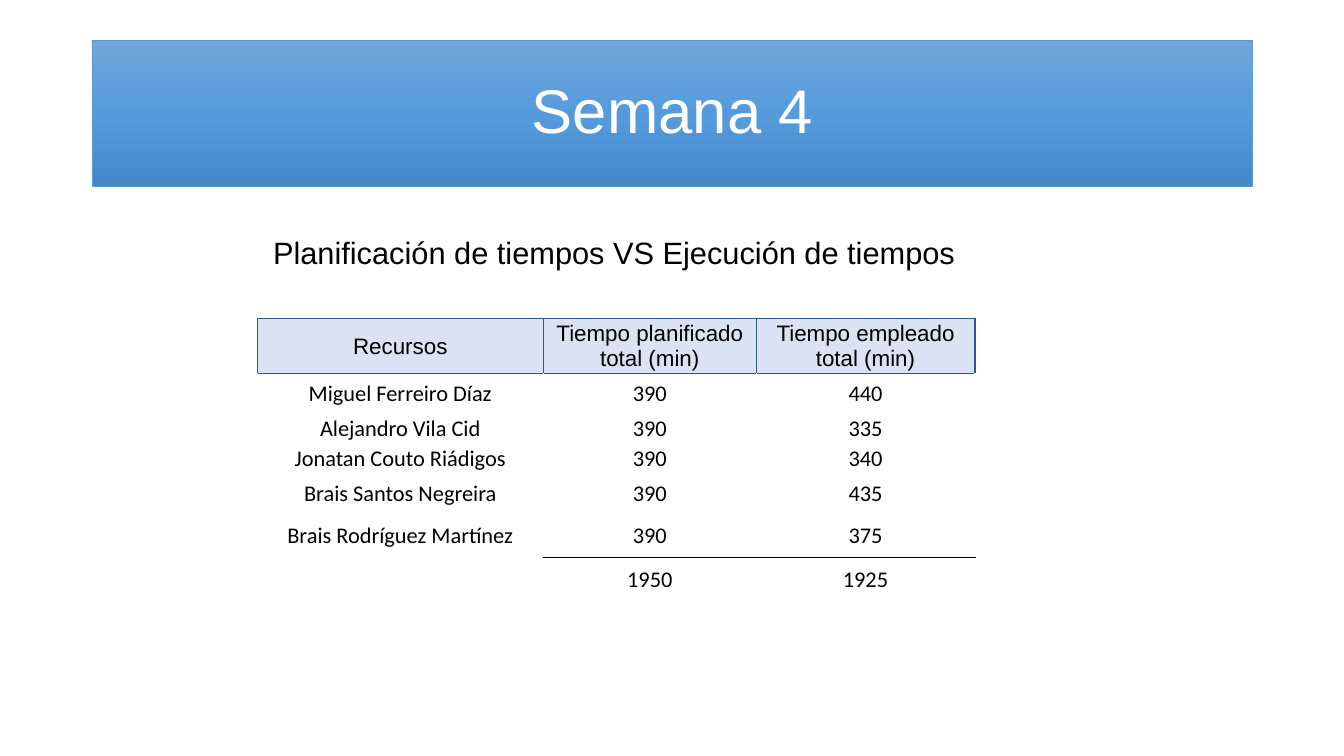
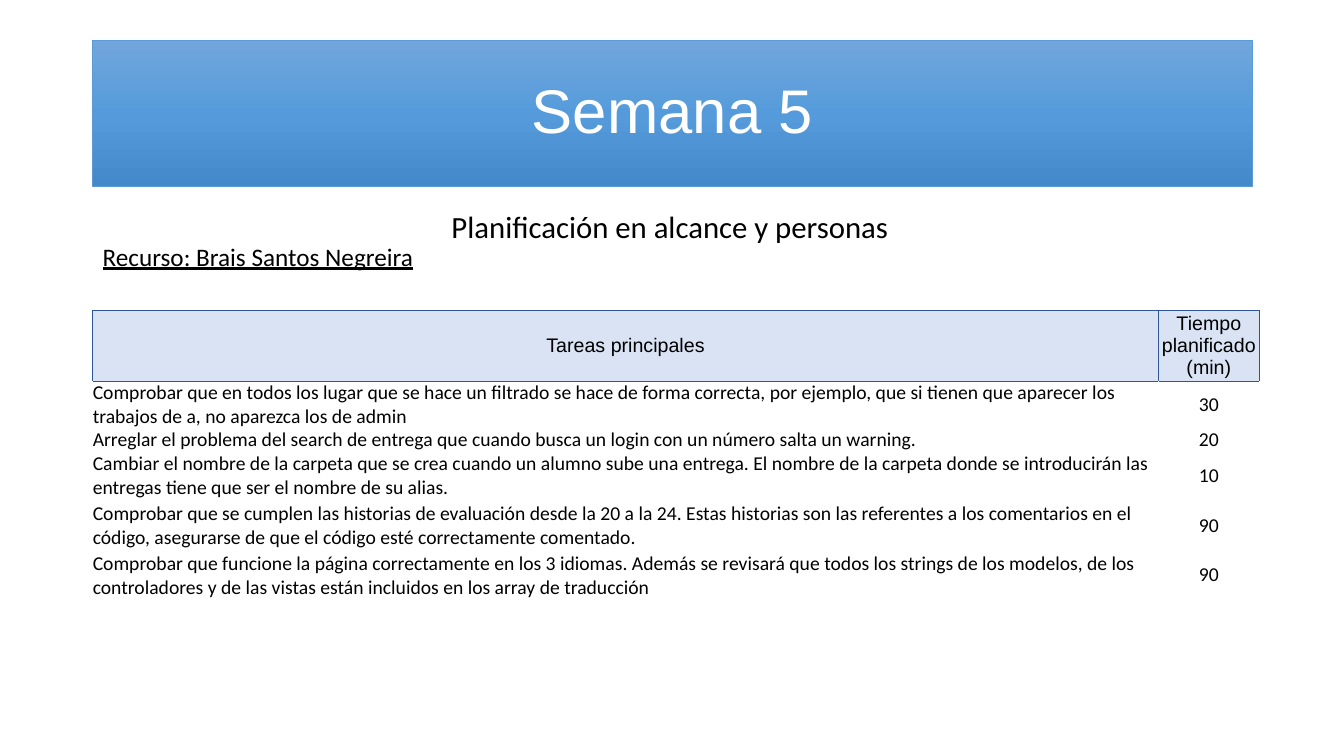
import copy
import pptx
import pptx.util
import pptx.dml.color
import pptx.enum.shapes
import pptx.enum.text
import pptx.oxml
import pptx.oxml.ns

Inches, Pt = pptx.util.Inches, pptx.util.Pt
ALIGN = pptx.enum.text.PP_ALIGN
ANCHOR = pptx.enum.text.MSO_ANCHOR

# Shared look
BLACK, WHITE = "000000", "FFFFFF"
BAND_STOPS = ((0, "71A6DB"), (0.5, "559BDB"), (1, "448ACA"))
BAND_EDGE = "5B9BD5"
HEADER_FILL = "DAE3F3"
HEADER_EDGE = ("2F5597", 1)
TOTAL_EDGE = (BLACK, 0.5)
HEADING_FONT, BODY_FONT = "Arial", "Calibri"


def rgb(value):
    return pptx.dml.color.RGBColor.from_string(value)


def write(frame, text, size=18, font=BODY_FONT, color=BLACK, align=ALIGN.LEFT,
          underline=False, spacing=1.0):
    paragraph = frame.paragraphs[0]
    paragraph.alignment = align
    paragraph.line_spacing = spacing
    run = paragraph.add_run()
    run.text = text
    run.font.size = Pt(size)
    run.font.name = font
    run.font.color.rgb = rgb(color)
    if underline:
        run.font.underline = True


def add_title_band(slide, title):
    band = slide.shapes.add_shape(pptx.enum.shapes.MSO_SHAPE.RECTANGLE,
                                  Inches(0.92), Inches(0.4), Inches(11.5), Inches(1.45))
    band.shadow.inherit = False
    band.line.color.rgb = rgb(BAND_EDGE)
    band.line.width = Pt(0.5)
    # Vertical gradient with a third stop
    band.fill.gradient()
    band.fill.gradient_angle = 270
    stop_list = next(band._element.spPr.iter(pptx.oxml.ns.qn("a:gsLst")))
    stop_list.append(copy.deepcopy(stop_list[0]))
    for stop, (position, color) in zip(band.fill.gradient_stops, BAND_STOPS):
        stop.position = position
        stop.color.rgb = rgb(color)
    band.text_frame.word_wrap = True
    band.text_frame.vertical_anchor = ANCHOR.MIDDLE
    write(band.text_frame, title, size=44, font=HEADING_FONT, color=WHITE,
          align=ALIGN.CENTER, spacing=0.9)


def add_text(slide, text, left, top, width, height, **style):
    box = slide.shapes.add_textbox(Inches(left), Inches(top), Inches(width), Inches(height))
    box.text_frame.word_wrap = True
    write(box.text_frame, text, **style)


def set_borders(cell, sides, edge):
    color, width = edge
    properties = cell._tc.get_or_add_tcPr()
    for side in sides:
        properties.append(pptx.oxml.parse_xml(
            f'<a:ln{side} {pptx.oxml.ns.nsdecls("a")} w="{Pt(width)}"><a:solidFill>'
            f'<a:srgbClr val="{color}"/></a:solidFill></a:ln{side}>'))


def add_table(slide, rows, left, top, widths, heights, size, margin=0.0,
              first_align=ALIGN.CENTER, top_anchored=(), total_row=None):
    table = slide.shapes.add_table(len(rows), len(widths), Inches(left), Inches(top),
                                   Inches(sum(widths)), Inches(sum(heights))).table
    table.first_row = table.horz_banding = False
    for column, width in zip(table.columns, widths):
        column.width = Inches(width)
    for r, (values, height) in enumerate(zip(rows, heights)):
        table.rows[r].height = Inches(height)
        for c, value in enumerate(values):
            cell = table.cell(r, c)
            header = r == 0
            # Borders come before the fill in the cell properties
            if header:
                set_borders(cell, "LRTB", HEADER_EDGE)
            elif r == 1:
                set_borders(cell, "T", HEADER_EDGE)
            elif total_row and c and r in (total_row - 1, total_row):
                set_borders(cell, "T" if r == total_row else "B", TOTAL_EDGE)
            if header:
                cell.fill.solid()
                cell.fill.fore_color.rgb = rgb(HEADER_FILL)
            else:
                cell.fill.background()
            cell.margin_left = cell.margin_right = cell.margin_top = Inches(margin)
            cell.margin_bottom = 0
            top_cell = c == 0 and r in top_anchored
            cell.vertical_anchor = ANCHOR.TOP if top_cell else ANCHOR.MIDDLE
            if value:
                write(cell.text_frame, value, size=size,
                      font=HEADING_FONT if header else BODY_FONT,
                      align=first_align if c == 0 and not header else ALIGN.CENTER)


def add_slide(deck, title):
    slide = deck.slides.add_slide(deck.slide_layouts[6])
    add_title_band(slide, title)
    return slide


def build_week_4(deck):
    slide = add_slide(deck, "Semana 4")
    add_text(slide, "Planificación de tiempos VS Ejecución de tiempos",
             2.61, 2.27, 7, 0.47, size=22, font=HEADING_FONT)
    times = [
        ("Recursos", "Tiempo planificado total (min)", "Tiempo empleado total (min)"),
        ("Miguel Ferreiro Díaz", "390", "440"),
        ("Alejandro Vila Cid", "390", "335"),
        ("Jonatan Couto Riádigos", "390", "340"),
        ("Brais Santos Negreira", "390", "435"),
        ("Brais Rodríguez Martínez", "390", "375"),
        ("", "1950", "1925"),
    ]
    add_table(slide, times, 2.55, 3.16, (2.84, 2.11, 2.17),
              (0.54, 0.4, 0.3, 0.21, 0.42, 0.43, 0.43), size=16, margin=0.01,
              total_row=6)


def build_week_5(deck):
    slide = add_slide(deck, "Semana 5")
    add_text(slide, "Planificación en alcance y personas", 4.38, 2.01, 4.57, 0.47, size=22)
    add_text(slide, "Recurso: Brais Santos Negreira", 0.92, 2.34, 3.67, 0.4, underline=True)
    tasks = [
        ("Tareas principales", "Tiempo planificado (min)"),
        ("Comprobar que en todos los lugar que se hace un filtrado se hace de forma correcta, "
         "por ejemplo, que si tienen que aparecer los trabajos de a, no aparezca los de admin",
         "30"),
        ("Arreglar el problema del search de entrega que cuando busca un login con un número "
         "salta un warning.", "20"),
        ("Cambiar el nombre de la carpeta que se crea cuando un alumno sube una entrega. "
         "El nombre de la carpeta donde se introducirán las entregas tiene que ser el nombre "
         "de su alias.", "10"),
        ("Comprobar que se cumplen las historias de evaluación desde la 20 a la 24. Estas "
         "historias son las referentes a los comentarios en el código, asegurarse de que el "
         "código esté correctamente comentado.", "90"),
        ("Comprobar que funcione la página correctamente en los 3 idiomas. Además se revisará "
         "que todos los strings de los modelos, de los controladores y de las vistas están "
         "incluidos en los array de traducción", "90"),
    ]
    add_table(slide, tasks, 0.92, 3.08, (10.57, 1), (0.22, 0.23, 0.09, 0.48, 0.51, 0.36),
              size=14, first_align=ALIGN.LEFT, top_anchored=(2, 3))


def main():
    deck = pptx.Presentation()
    deck.slide_width, deck.slide_height = Inches(13.33), Inches(7.5)
    build_week_4(deck)
    build_week_5(deck)
    deck.save("out.pptx")


if __name__ == "__main__":
    main()
